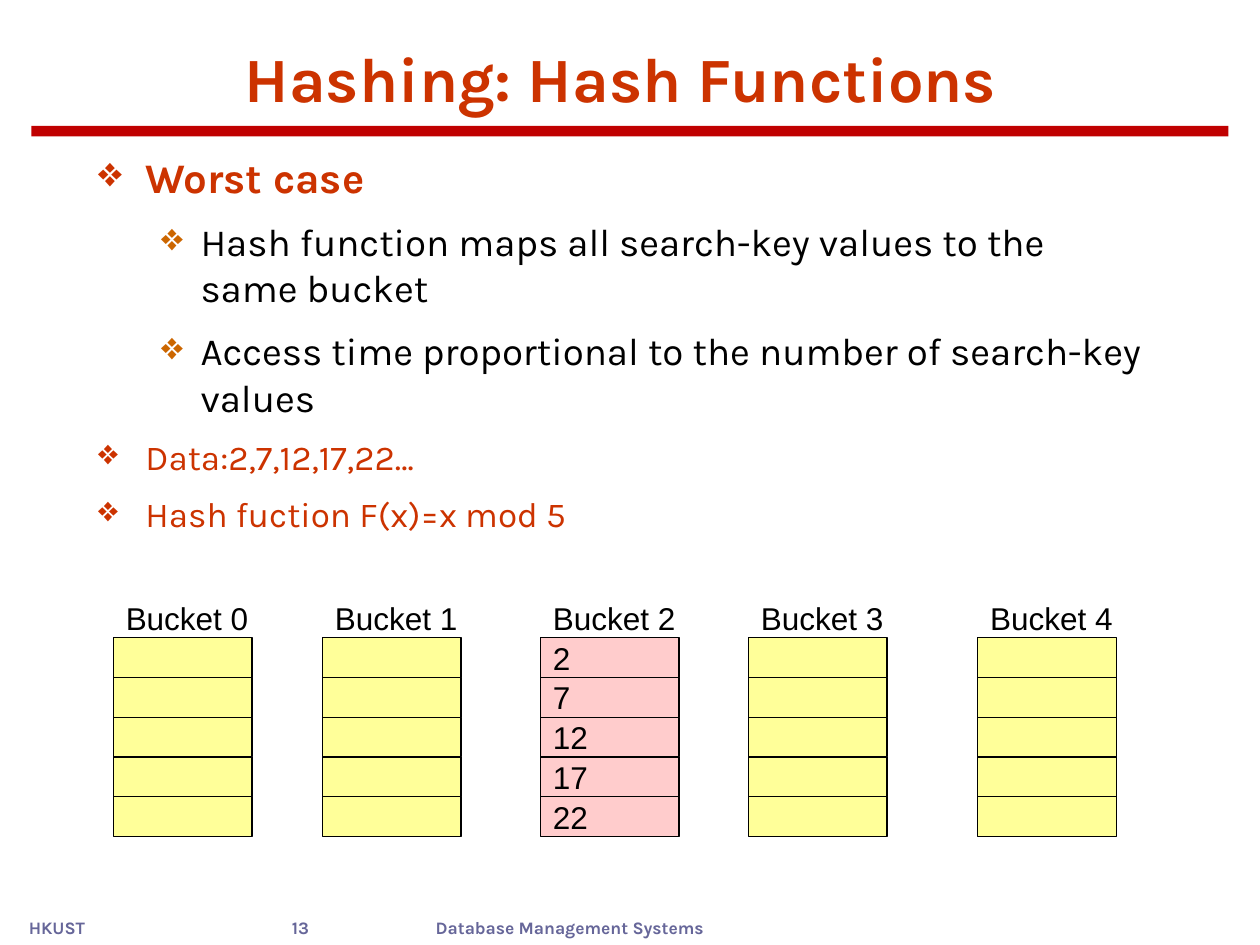
from dataclasses import dataclass

from lxml import etree
from pptx import Presentation
from pptx.dml.color import RGBColor
from pptx.enum.shapes import MSO_SHAPE
from pptx.enum.text import MSO_ANCHOR, PP_ALIGN
from pptx.oxml.ns import qn
from pptx.util import Pt

RECTANGLE = MSO_SHAPE.RECTANGLE
TOP, MIDDLE, BOTTOM = MSO_ANCHOR.TOP, MSO_ANCHOR.MIDDLE, MSO_ANCHOR.BOTTOM
LEFT, CENTER = PP_ALIGN.LEFT, PP_ALIGN.CENTER

COLORS = {
    "heading": "CC3300",
    "sub_bullet": "CC6600",
    "text": "000000",
    "footer": "666699",
    "rule": "C00000",
    "empty": "FFFF99",
    "full": "FFCCCC",
}

CELL_WIDTH = 79.2
CELL_HEIGHT = 22.68
BUCKET_TOP = 364.5
BUCKET_ROWS = 5


@dataclass(frozen=True)
class Style:
    size: float
    color: str
    font: str = "Karla"
    bold: bool = False


@dataclass(frozen=True)
class Level:
    number: int
    indent: float
    hanging: float
    bullet_color: str


@dataclass(frozen=True)
class Bullet:
    text: str
    level: Level
    style: Style
    space_before: float


@dataclass(frozen=True)
class Footer:
    text: str
    left: float
    width: float


@dataclass(frozen=True)
class Bucket:
    left: float
    values: tuple[int, ...] = ()


TITLE_STYLE = Style(36, "heading", bold=True)
FOOTER_STYLE = Style(10, "footer", bold=True)
BUCKET_STYLE = Style(18, "text", font="Arial")
TOPIC_STYLE = Style(24, "heading", bold=True)
DETAIL_STYLE = Style(22, "text")
EXAMPLE_STYLE = Style(20, "heading")

OUTER = Level(0, 27, 27, "heading")
INNER = Level(1, 58.5, 22.5, "sub_bullet")

BULLETS = (
    Bullet("Worst case", OUTER, TOPIC_STYLE, 0),
    Bullet("Hash function maps all search-key values to the same bucket", INNER, DETAIL_STYLE, 9.6),
    Bullet("Access time proportional to the number of search-key values", INNER, DETAIL_STYLE, 9.6),
    Bullet("Data:2,7,12,17,22…", OUTER, EXAMPLE_STYLE, 8.8),
    Bullet("Hash fuction F(x)=x mod 5", OUTER, EXAMPLE_STYLE, 8.8),
)

FOOTERS = (
    Footer("HKUST", 9.4, 47.5),
    Footer("13", 159.8, 64.8),
    Footer("Database Management Systems", 241.9, 174.2),
)

BUCKETS = (
    Bucket(64.8),
    Bucket(184.3),
    Bucket(308.9, (2, 7, 12, 17, 22)),
    Bucket(427.7),
    Bucket(558.7),
)


def rgb(name: str) -> RGBColor:
    return RGBColor.from_string(COLORS[name])


def add_run(paragraph, text: str, style: Style) -> None:
    run = paragraph.add_run()
    run.text = text
    run.font.name = style.font
    run.font.size = Pt(style.size)
    run.font.bold = style.bold
    run.font.color.rgb = rgb(style.color)


def prepare_frame(shape, anchor, right: float = 7.2, vertical: float = 3.6):
    frame = shape.text_frame
    frame.word_wrap = True
    frame.vertical_anchor = anchor
    frame.margin_left, frame.margin_right = Pt(7.2), Pt(right)
    frame.margin_top = frame.margin_bottom = Pt(vertical)
    return frame


def write_line(shape, text: str, style: Style, anchor, alignment=LEFT,
               right: float = 0, vertical: float = 0) -> None:
    paragraph = prepare_frame(shape, anchor, right, vertical).paragraphs[0]
    paragraph.alignment = alignment
    add_run(paragraph, text, style)


def add_box(shapes, left: float, top: float, width: float, height: float):
    return shapes.add_textbox(Pt(left), Pt(top), Pt(width), Pt(height))


def add_rectangle(shapes, left: float, top: float, width: float, height: float, fill: str):
    shape = shapes.add_shape(RECTANGLE, Pt(left), Pt(top), Pt(width), Pt(height))
    shape.shadow.inherit = False
    shape.fill.solid()
    shape.fill.fore_color.rgb = rgb(fill)
    return shape


def set_bullet(paragraph, level: Level) -> None:
    paragraph.level = level.number
    properties = paragraph._p.get_or_add_pPr()
    properties.set("marL", str(Pt(level.indent)))
    properties.set("indent", str(-Pt(level.hanging)))
    color = etree.SubElement(properties, qn("a:buClr"))
    etree.SubElement(color, qn("a:srgbClr"), val=COLORS[level.bullet_color])
    etree.SubElement(properties, qn("a:buChar"), char="❖")


def add_bullets(shapes, bullets: tuple[Bullet, ...]) -> None:
    frame = prepare_frame(add_box(shapes, 49, 82.8, 612.7, 384.5), TOP)
    for index, bullet in enumerate(bullets):
        paragraph = frame.add_paragraph() if index else frame.paragraphs[0]
        set_bullet(paragraph, bullet.level)
        paragraph.space_before = Pt(bullet.space_before)
        add_run(paragraph, bullet.text, bullet.style)


def add_bucket(shapes, number: int, bucket: Bucket) -> None:
    group = shapes.add_group_shape()
    fill = "full" if bucket.values else "empty"
    for row in range(BUCKET_ROWS):
        cell = add_rectangle(group.shapes, bucket.left, BUCKET_TOP + row * CELL_HEIGHT,
                             CELL_WIDTH, CELL_HEIGHT, fill)
        cell.line.color.rgb = rgb("text")
        cell.line.width = Pt(0.75)
        if row < len(bucket.values):
            write_line(cell, str(bucket.values[row]), BUCKET_STYLE, MIDDLE)
    label = add_box(group.shapes, bucket.left, BUCKET_TOP - CELL_HEIGHT, CELL_WIDTH, CELL_HEIGHT)
    write_line(label, f"Bucket {number}", BUCKET_STYLE, MIDDLE)


def main() -> None:
    presentation = Presentation()
    presentation.slide_width, presentation.slide_height = Pt(720), Pt(540)
    shapes = presentation.slides.add_slide(presentation.slide_layouts[6]).shapes

    for footer in FOOTERS:
        box = add_box(shapes, footer.left, 520.6, footer.width, 19.4)
        write_line(box, footer.text, FOOTER_STYLE, TOP, vertical=3.6)

    title = add_box(shapes, 42.5, 18, 624.2, 51.1)
    write_line(title, "Hashing: Hash Functions", TITLE_STYLE, BOTTOM, CENTER, 7.2, 3.6)
    add_bullets(shapes, BULLETS)
    for number, bucket in enumerate(BUCKETS):
        add_bucket(shapes, number, bucket)

    rule = add_rectangle(shapes, 18, 72, 684, 6, "rule")
    rule.line.fill.background()
    presentation.save("out.pptx")


if __name__ == "__main__":
    main()
